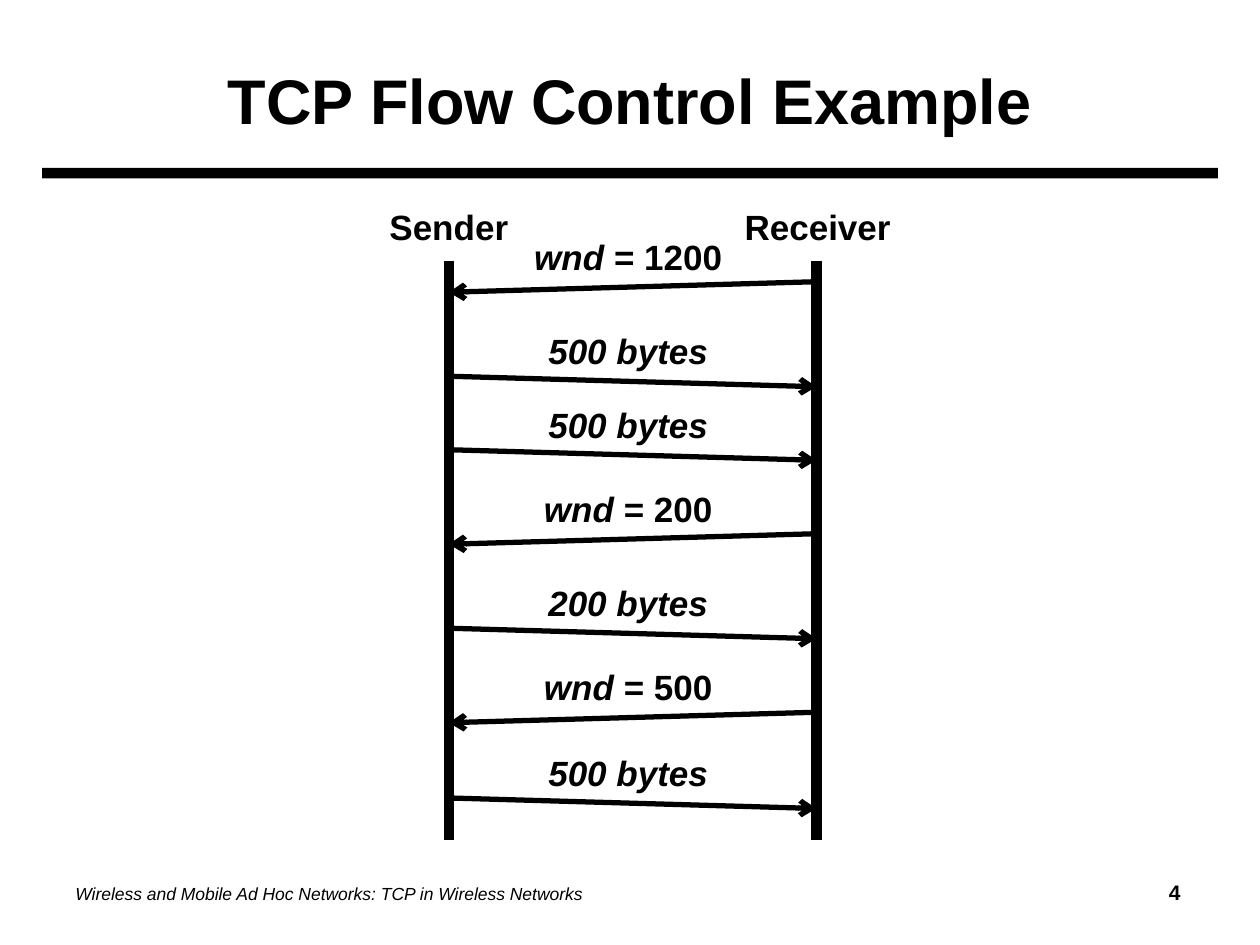
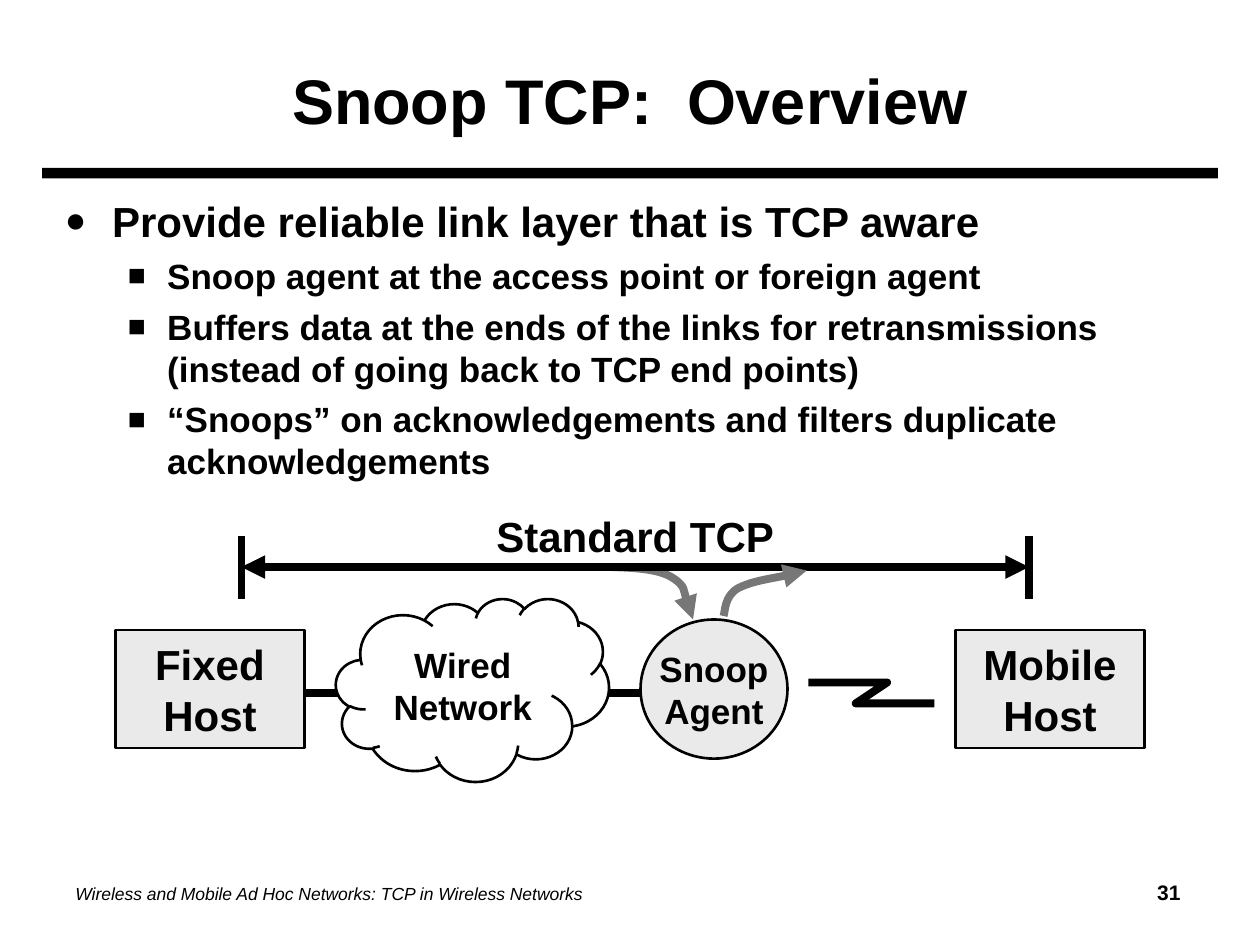
from dataclasses import dataclass

from lxml.etree import SubElement
from pptx import Presentation
from pptx.dml.color import RGBColor
from pptx.enum.shapes import MSO_CONNECTOR, MSO_SHAPE
from pptx.enum.text import MSO_ANCHOR, PP_ALIGN
from pptx.oxml.ns import qn
from pptx.util import Pt


@dataclass(frozen=True)
class Theme:
    font: str = "Arial"
    ink: RGBColor = RGBColor(0x00, 0x00, 0x00)
    paper: RGBColor = RGBColor(0xFF, 0xFF, 0xFF)
    node: RGBColor = RGBColor(0xEA, 0xEA, 0xEA)
    detour: RGBColor = RGBColor(0x77, 0x77, 0x77)
    title: float = 36
    large: float = 24
    medium: float = 20
    number: float = 12
    footer: float = 10
    outline: float = 1.5
    message: float = 3
    link: float = 4.5
    timeline: float = 6


COURSE = "Wireless and Mobile Ad Hoc Networks: TCP in Wireless Networks"

# Bullet levels: character, left margin, hanging indent, space before
LEVELS = (("●", 27, 27, 6), ("■", 58.5, 22.5, 5))


class Deck:
    def __init__(self, theme):
        self.theme = theme
        self.presentation = Presentation()
        self.presentation.slide_width = Pt(720)
        self.presentation.slide_height = Pt(540)
        self.shapes = None

    # Shared frame: rule, footer and title
    def new_slide(self, title, number):
        slide = self.presentation.slides.add_slide(self.presentation.slide_layouts[6])
        self.shapes = slide.shapes
        self.node(MSO_SHAPE.RECTANGLE, 24, 96, 672, 6, fill=self.theme.ink, outline=False)
        self.footer(number)
        self.text(title, 36, 18, 648, 78, self.theme.title, anchor=MSO_ANCHOR.MIDDLE)

    def footer(self, number):
        frame = self.frame(36, 492, 648, 36, MSO_ANCHOR.MIDDLE)
        line = frame.paragraphs[0]
        stops = SubElement(line._p.get_or_add_pPr(), qn("a:tabLst"))
        SubElement(stops, qn("a:tab"), pos=str(Pt(631.5)), algn="r")
        self.style(line.font)
        course = line.add_run()
        course.text = COURSE
        course.font.size, course.font.italic = Pt(self.theme.footer), True
        page = line.add_run()
        page.text = f"\t{number}"
        page.font.size, page.font.bold = Pt(self.theme.number), True

    # Text
    def style(self, font, size=None, bold=None, italic=None):
        font.name = self.theme.font
        font.color.rgb = self.theme.ink
        font.size = Pt(size) if size else None
        font.bold, font.italic = bold, italic

    def frame(self, left, top, width, height, anchor=MSO_ANCHOR.TOP):
        frame = self.shapes.add_textbox(Pt(left), Pt(top), Pt(width), Pt(height)).text_frame
        frame.word_wrap = True
        frame.vertical_anchor = anchor
        return frame

    def text(self, words, left, top, width, height, size, anchor=MSO_ANCHOR.TOP, italic=None):
        line = self.frame(left, top, width, height, anchor).paragraphs[0]
        line.text = words
        line.alignment = PP_ALIGN.CENTER
        self.style(line.font, size, True, italic)
        return line

    def bullets(self, items, left, top, width, height):
        frame = self.frame(left, top, width, height)
        for index, (level, words) in enumerate(items):
            item = frame.add_paragraph() if index else frame.paragraphs[0]
            mark, margin, hanging, before = LEVELS[level]
            item.text = words
            item.level = level
            item.space_before = Pt(before if index else 0)
            properties = item._p.get_or_add_pPr()
            properties.set("marL", str(Pt(margin)))
            properties.set("indent", str(-Pt(hanging)))
            SubElement(properties, qn("a:buSzPct"), val="85000")
            SubElement(properties, qn("a:buFont"), typeface=self.theme.font)
            SubElement(properties, qn("a:buChar"), char=mark)
            self.style(item.font, self.theme.medium if level else self.theme.large, True)

    # Filled shapes
    def node(self, kind, left, top, width, height, words="", size=None, fill=None,
             outline=True, wrap=False):
        shape = self.shapes.add_shape(kind, Pt(left), Pt(top), Pt(width), Pt(height))
        shape.shadow.inherit = False
        shape.fill.solid()
        shape.fill.fore_color.rgb = fill or self.theme.node
        if outline:
            shape.line.color.rgb = self.theme.ink
            shape.line.width = Pt(self.theme.outline)
        else:
            shape.line.fill.background()
        if words:
            frame = shape.text_frame
            frame.word_wrap = wrap
            frame.vertical_anchor = MSO_ANCHOR.MIDDLE
            line = frame.paragraphs[0]
            line.text = words
            line.alignment = PP_ALIGN.CENTER
            self.style(line.font, size, True)

    # Lines
    def stroke(self, shape, width, color=None, head=None, tail=None):
        shape.line.color.rgb = color or self.theme.ink
        shape.line.width = Pt(width)
        outline = shape.line._get_or_add_ln()
        for end, arrow in (("a:headEnd", head), ("a:tailEnd", tail)):
            if arrow:
                SubElement(outline, qn(end), type=arrow)

    def line(self, start, end, width, head=None, tail=None):
        line = self.shapes.add_connector(
            MSO_CONNECTOR.STRAIGHT, *(Pt(value) for value in (*start, *end)))
        self.stroke(line, width, head=head, tail=tail)
        SubElement(line._element.spPr, qn("a:effectLst"))

    def path_line(self, points, color=None, tail=None, curved=False):
        start, *rest = [(Pt(x), Pt(y)) for x, y in points]
        builder = self.shapes.build_freeform(*start)
        builder.add_line_segments(rest, close=False)
        shape = builder.convert_to_shape()
        shape.shadow.inherit = False
        shape.fill.background()
        self.stroke(shape, self.theme.link, color, tail=tail)
        if curved:
            # Every three points become one cubic curve
            segments = list(shape._element.iter(qn("a:lnTo")))
            outline = segments[0].getparent()
            for first in range(0, len(segments), 3):
                curve = SubElement(outline, qn("a:cubicBezTo"))
                for segment in segments[first:first + 3]:
                    curve.append(segment[0])
                    outline.remove(segment)


def flow_control(deck):
    theme = deck.theme
    deck.new_slide("TCP Flow Control Example", 4)
    sender, receiver, top, bottom = 256.5, 466.5, 149, 480
    label_width, label_height = 122, 32

    # Column heads
    for name, center in (("Sender", sender), ("Receiver", receiver + 0.75)):
        deck.text(name, center - label_width / 2, 114, label_width, label_height, theme.medium)

    # Messages: height of the start, window size or amount of data
    messages = (
        (161, "wnd", " = 1200"),
        (215, "500 bytes", ""),
        (257, "500 bytes", ""),
        (305, "wnd", " = 200"),
        (359, "200 bytes", ""),
        (407, "wnd", " = 500"),
        (456, "500 bytes", ""),
    )
    for y, words, window in messages:
        start, end = (receiver, sender) if window else (sender, receiver)
        deck.line((start, y), (end, y + 6), theme.message, tail="arrow")
        label = deck.text(words, 359 - label_width / 2, y - 30, label_width, label_height,
                          theme.medium, italic=None if window else True)
        if window:
            label.runs[0].font.italic = True
            label.add_run().text = window

    # Timelines
    for x in (sender, receiver):
        deck.line((x, top), (x, bottom), theme.timeline)


def snoop_overview(deck):
    theme = deck.theme
    deck.new_slide("Snoop TCP:  Overview", 31)
    deck.bullets((
        (0, "Provide reliable link layer that is TCP aware"),
        (1, "Snoop agent at the access point or foreign agent"),
        (1, "Buffers data at the ends of the links for retransmissions "
            "(instead of going back to TCP end points)"),
        (1, "“Snoops” on acknowledgements and filters duplicate acknowledgements"),
    ), 30, 108, 654, 378)

    # Wired side and hosts
    deck.line((120, 396), (432, 396), theme.link)
    deck.node(MSO_SHAPE.CLOUD, 192, 342, 156, 104.5, "Wired\vNetwork", theme.medium,
              fill=theme.paper, wrap=True)
    for left, name in ((66, "Fixed\vHost"), (546, "Mobile\vHost")):
        deck.node(MSO_SHAPE.RECTANGLE, left, 360, 108, 67.5, name, theme.large)

    # Wireless link
    deck.path_line(((462, 390), (507, 390), (489, 402), (534, 402)))

    # Span of the standard connection
    span_left, span_right, span_y = 138, 588, 324
    for x in (span_left, span_right):
        deck.line((x, span_y - 18), (x, span_y + 18), theme.link)
    deck.text("Standard TCP", 216, 288, 294, 35, theme.large)

    # Snoop agent and the detour through it
    deck.node(MSO_SHAPE.OVAL, 366, 354, 84, 79.5, "Snoop\vAgent", theme.medium)
    deck.path_line(((348, 324), (362, 324.5), (376, 325), (384, 330),
                    (392, 335), (394, 350), (396, 354)),
                   theme.detour, "triangle", curved=True)
    deck.line((span_right, span_y), (span_left, span_y), theme.link, "triangle", "triangle")
    deck.path_line(((413.5, 352), (414.5, 349), (414, 340.5), (422, 336),
                    (430, 332), (453, 328.5), (461, 326)),
                   theme.detour, "triangle", curved=True)


def main():
    deck = Deck(Theme())
    flow_control(deck)
    snoop_overview(deck)
    deck.presentation.save("out.pptx")


if __name__ == "__main__":
    main()
